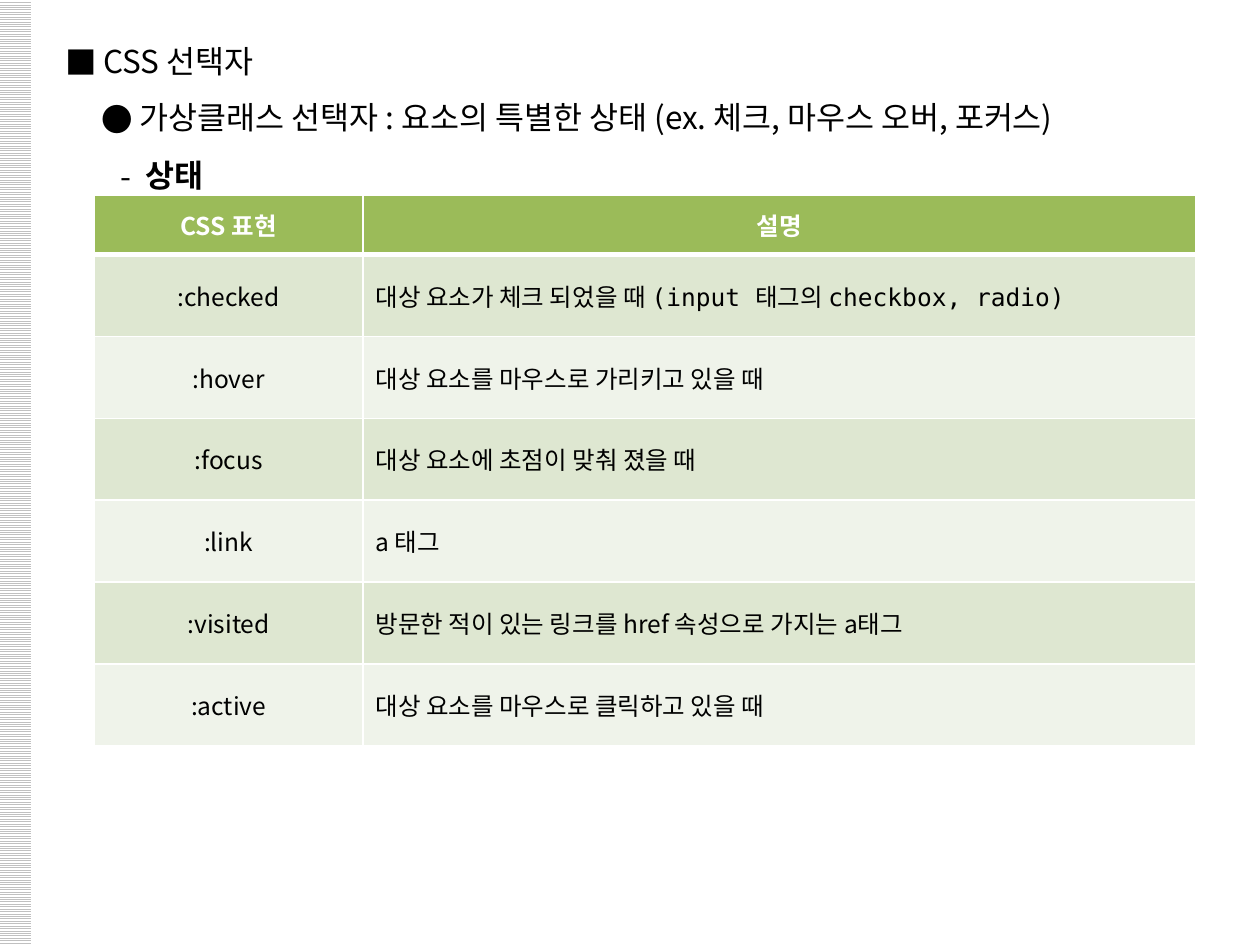
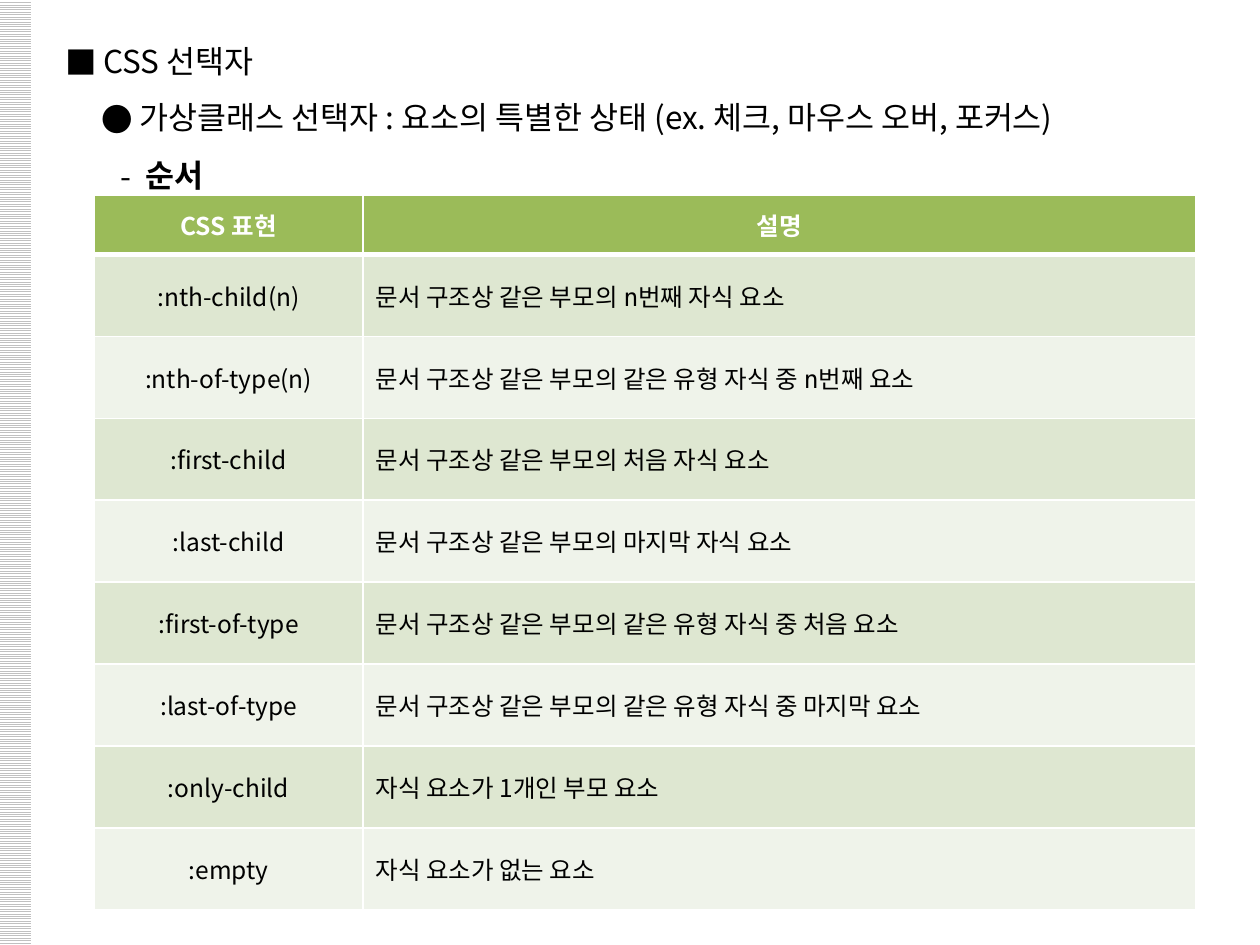
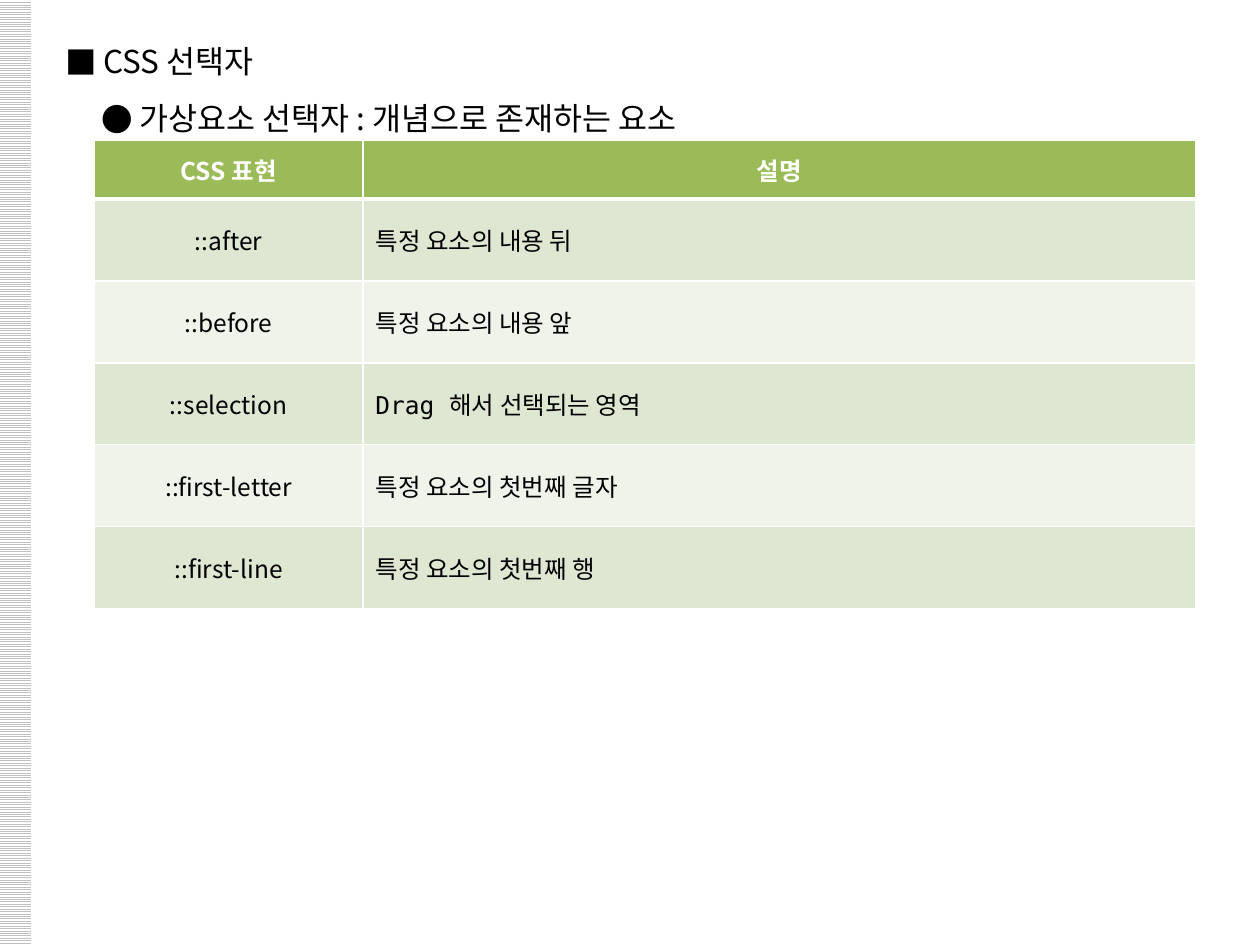
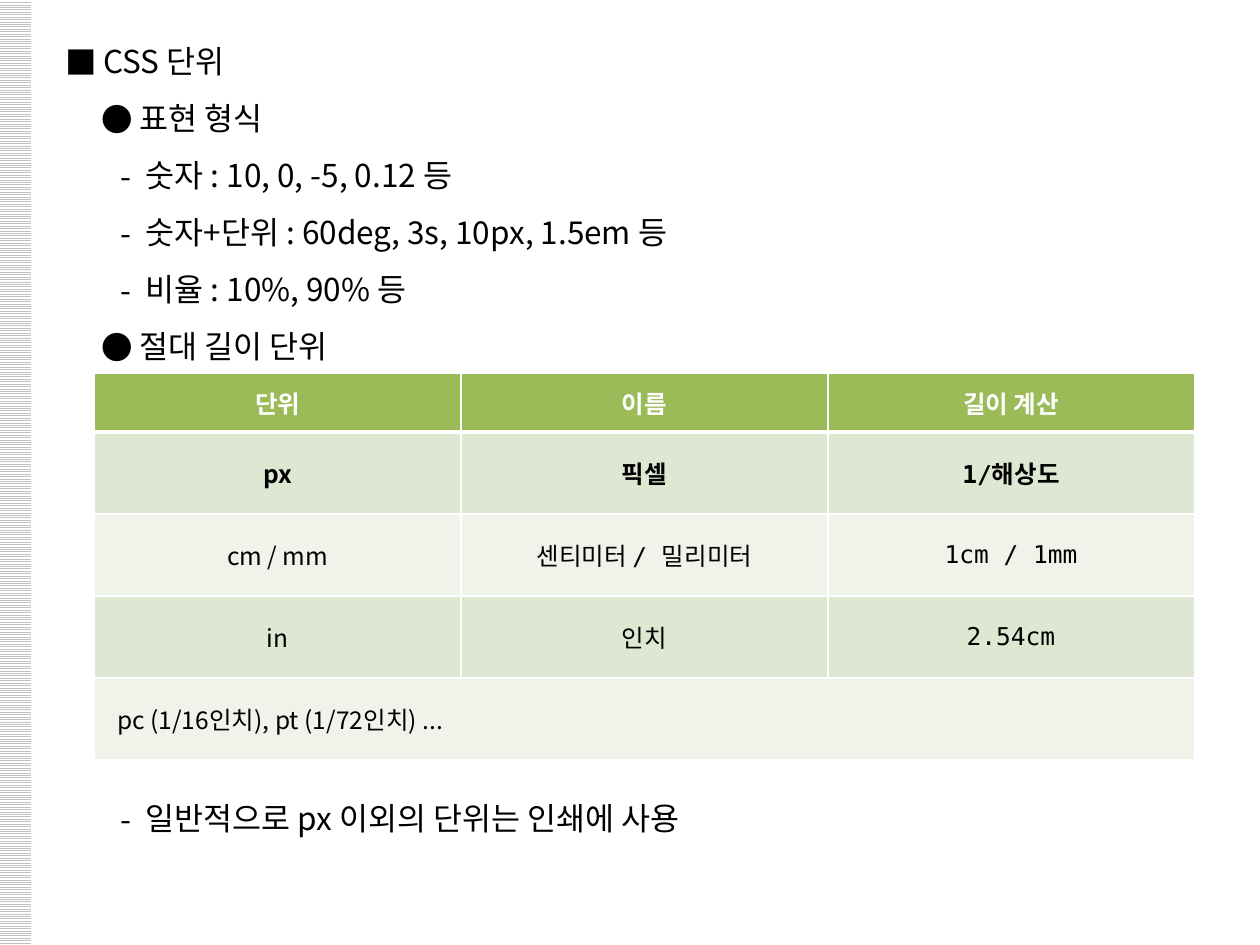
"""Build four slides on CSS selectors and CSS units."""
from dataclasses import dataclass
from typing import NamedTuple

from lxml.etree import SubElement
from pptx import Presentation
from pptx.dml.color import RGBColor
from pptx.enum.dml import MSO_PATTERN
from pptx.enum.shapes import MSO_SHAPE as SHAPE
from pptx.enum.text import MSO_ANCHOR as ANCHOR, MSO_AUTO_SIZE as AUTO, PP_ALIGN as ALIGN
from pptx.oxml.ns import qn
from pptx.slide import Slide
from pptx.util import Emu, Pt

EMU_PER_PX = 9144
SLIDE_W, SLIDE_H = 1000, 750
TEXT_LEFT, TEXT_WIDTH, TITLE_TOP = 42, 940, 13
LINE_PITCH = 45
TABLE_LEFT, HEADER_H, ROW_H = 75, 47, 65
LINE_SPACING = Pt(32.6)
TEXT_SIZE, CELL_SIZE = Pt(18), Pt(14)
SANS, MONO = "Noto Sans CJK KR", "DejaVu Sans Mono"
BLACK = RGBColor(0x00, 0x00, 0x00)
WHITE = RGBColor(0xFF, 0xFF, 0xFF)
STRIPE = RGBColor(0xC0, 0xC0, 0xC0)
HEADER = RGBColor(0x9B, 0xBB, 0x59)
BANDS = (RGBColor(0xDE, 0xE7, 0xD1), RGBColor(0xEF, 0xF3, 0xEA))


class Level(NamedTuple):
    bullet: str
    margin: int
    hang: int


TITLE = Level("■", 30, 30)
TOPIC = Level("●", 59, 30)
DETAIL = Level("-", 64, 20)


class Line(NamedTuple):
    level: Level
    text: str
    bold: bool = False


class Cell(NamedTuple):
    text: str
    font: str = SANS
    bold: bool = False


@dataclass
class Grid:
    top: int
    widths: tuple
    aligns: tuple
    header: tuple
    rows: list


@dataclass
class Page:
    title: str
    lines: list
    grid: Grid
    note: str = ""


def px(value: int) -> Emu:
    return Emu(value * EMU_PER_PX)


def style_run(r, size, color: RGBColor, font: str = SANS, bold: bool = False) -> None:
    r.font.size, r.font.name, r.font.bold = size, font, bold
    r.font.color.rgb = color


def write_line(p, line: Line) -> None:
    p.text = line.text
    p.alignment = ALIGN.LEFT
    p.line_spacing = LINE_SPACING
    p.space_before = Pt(0)
    pPr = p._p.get_or_add_pPr()
    pPr.set("marL", str(px(line.level.margin)))
    pPr.set("indent", str(-px(line.level.hang)))
    SubElement(pPr, qn("a:buFont"), typeface=SANS)
    SubElement(pPr, qn("a:buChar"), char=line.level.bullet)
    for r in p.runs:
        style_run(r, TEXT_SIZE, BLACK, bold=line.bold)


def write_lines(sp, top: int, lines: list) -> None:
    sp.left, sp.top = px(TEXT_LEFT), px(top)
    sp.width, sp.height = px(TEXT_WIDTH), px(LINE_PITCH * len(lines) + 10)
    tf = sp.text_frame
    tf.word_wrap, tf.auto_size = True, AUTO.NONE
    tf.vertical_anchor = ANCHOR.TOP
    for i, line in enumerate(lines):
        write_line(tf.add_paragraph() if i else tf.paragraphs[0], line)


def add_lines(s: Slide, top: int, lines: list) -> None:
    write_lines(s.shapes.add_textbox(0, 0, 0, 0), top, lines)


def set_borders(cell, top: int, bottom: int) -> None:
    tcPr = cell._tc.get_or_add_tcPr()
    for side, width in (("L", 1), ("R", 1), ("T", top), ("B", bottom)):
        ln = SubElement(tcPr, qn(f"a:ln{side}"), w=str(Pt(width)))
        SubElement(SubElement(ln, qn("a:solidFill")), qn("a:srgbClr"), val=str(WHITE))


def write_cell(cell, content: Cell, fill: RGBColor, color: RGBColor, align) -> None:
    cell.fill.solid()
    cell.fill.fore_color.rgb = fill
    cell.vertical_anchor = ANCHOR.MIDDLE
    p = cell.text_frame.paragraphs[0]
    p.text = content.text
    p.alignment = align
    for r in p.runs:
        style_run(r, CELL_SIZE, color, content.font, content.bold)


def add_grid(s: Slide, grid: Grid) -> None:
    n_rows, n_cols = len(grid.rows) + 1, len(grid.widths)
    height = HEADER_H + ROW_H * len(grid.rows)
    table = s.shapes.add_table(n_rows, n_cols, px(TABLE_LEFT), px(grid.top),
                               px(sum(grid.widths)), px(height)).table
    table.horz_banding = False
    for column, width in zip(table.columns, grid.widths):
        column.width = px(width)
    for i, row in enumerate(table.rows):
        row.height = px(ROW_H if i else HEADER_H)
        for cell in row.cells:
            set_borders(cell, 3 if i == 1 else 1, 1 if i else 3)
    for j, text in enumerate(grid.header):
        write_cell(table.cell(0, j), Cell(text, bold=True), HEADER, WHITE, ALIGN.CENTER)
    for i, contents in enumerate(grid.rows, 1):
        spans = len(contents) == 1
        if spans:
            table.cell(i, 0).merge(table.cell(i, n_cols - 1))
            table.cell(i, 0).margin_left = px(18)
        for j, content in enumerate(contents):
            align = ALIGN.LEFT if spans else grid.aligns[j]
            write_cell(table.cell(i, j), content, BANDS[(i - 1) % 2], BLACK, align)


def add_band(s: Slide) -> None:
    band = s.shapes.add_shape(SHAPE.RECTANGLE, px(-1), 0, px(26), px(SLIDE_H))
    band.shadow.inherit = False
    band.line.fill.background()
    band.fill.patterned()
    band.fill.pattern = MSO_PATTERN.LIGHT_HORIZONTAL
    band.fill.fore_color.rgb, band.fill.back_color.rgb = STRIPE, WHITE
    s.slide_layout.shapes.element.insert(2, band.element)


def set_east_asian_font(s: Slide) -> None:
    for latin in list(s.element.iter(qn("a:latin"))):
        ea = SubElement(latin.getparent(), qn("a:ea"), typeface=SANS)
        latin.addnext(ea)


def add_page(prs, page: Page) -> Slide:
    s = prs.slides.add_slide(prs.slide_layouts[5])
    write_lines(s.shapes.title, TITLE_TOP, [Line(TITLE, page.title)])
    add_lines(s, TITLE_TOP + LINE_PITCH, page.lines)
    add_grid(s, page.grid)
    if page.note:
        add_lines(s, 614, [Line(DETAIL, page.note)])
    set_east_asian_font(s)
    return s


def selector_grid(top: int, *rows: tuple) -> Grid:
    cells = [(Cell(name), Cell(*description)) for name, *description in rows]
    return Grid(top, (213, 661), (ALIGN.CENTER, ALIGN.LEFT), ("CSS 표현", "설명"), cells)


PSEUDO_CLASS = Line(TOPIC, "가상클래스 선택자 : 요소의 특별한 상태 (ex. 체크, 마우스 오버, 포커스)")

PAGES = [
    Page("CSS 선택자", [PSEUDO_CLASS, Line(DETAIL, "상태", True)], selector_grid(
        155,
        (":checked", "대상 요소가 체크 되었을 때 (input 태그의 checkbox, radio)", MONO),
        (":hover", "대상 요소를 마우스로 가리키고 있을 때"),
        (":focus", "대상 요소에 초점이 맞춰 졌을 때"),
        (":link", "a 태그"),
        (":visited", "방문한 적이 있는 링크를 href 속성으로 가지는 a태그"),
        (":active", "대상 요소를 마우스로 클릭하고 있을 때"))),
    Page("CSS 선택자", [PSEUDO_CLASS, Line(DETAIL, "순서", True)], selector_grid(
        155,
        (":nth-child(n)", "문서 구조상 같은 부모의 n번째 자식 요소", MONO),
        (":nth-of-type(n)", "문서 구조상 같은 부모의 같은 유형 자식 중 n번째 요소", MONO),
        (":first-child", "문서 구조상 같은 부모의 처음 자식 요소", MONO),
        (":last-child", "문서 구조상 같은 부모의 마지막 자식 요소", MONO),
        (":first-of-type", "문서 구조상 같은 부모의 같은 유형 자식 중 처음 요소", MONO),
        (":last-of-type", "문서 구조상 같은 부모의 같은 유형 자식 중 마지막 요소", MONO),
        (":only-child", "자식 요소가 1개인 부모 요소"),
        (":empty", "자식 요소가 없는 요소"))),
    Page("CSS 선택자", [Line(TOPIC, "가상요소 선택자 : 개념으로 존재하는 요소")], selector_grid(
        111,
        ("::after", "특정 요소의 내용 뒤", MONO),
        ("::before", "특정 요소의 내용 앞", MONO),
        ("::selection", "Drag 해서 선택되는 영역", MONO),
        ("::first-letter", "특정 요소의 첫번째 글자", MONO),
        ("::first-line", "특정 요소의 첫번째 행", MONO))),
    Page("CSS 단위", [
        Line(TOPIC, "표현 형식"),
        Line(DETAIL, "숫자 : 10, 0, -5, 0.12 등"),
        Line(DETAIL, "숫자+단위 : 60deg, 3s, 10px, 1.5em 등"),
        Line(DETAIL, "비율 : 10%, 90% 등"),
        Line(TOPIC, "절대 길이 단위"),
    ], Grid(296, (291,) * 3, (ALIGN.CENTER,) * 3, ("단위", "이름", "길이 계산"), [
        (Cell("px", bold=True), Cell("픽셀", MONO, True), Cell("1/해상도", MONO, True)),
        (Cell("cm / mm"), Cell("센티미터 / 밀리미터", MONO), Cell("1cm / 1mm", MONO)),
        (Cell("in"), Cell("인치", MONO), Cell("2.54cm", MONO)),
        (Cell("pc (1/16인치), pt (1/72인치) ..."),),
    ]), "일반적으로 px 이외의 단위는 인쇄에 사용"),
]


def main() -> None:
    prs = Presentation()
    prs.slide_width, prs.slide_height = px(SLIDE_W), px(SLIDE_H)
    slides = [add_page(prs, page) for page in PAGES]
    add_band(slides[0])
    prs.save("out.pptx")


if __name__ == "__main__":
    main()
